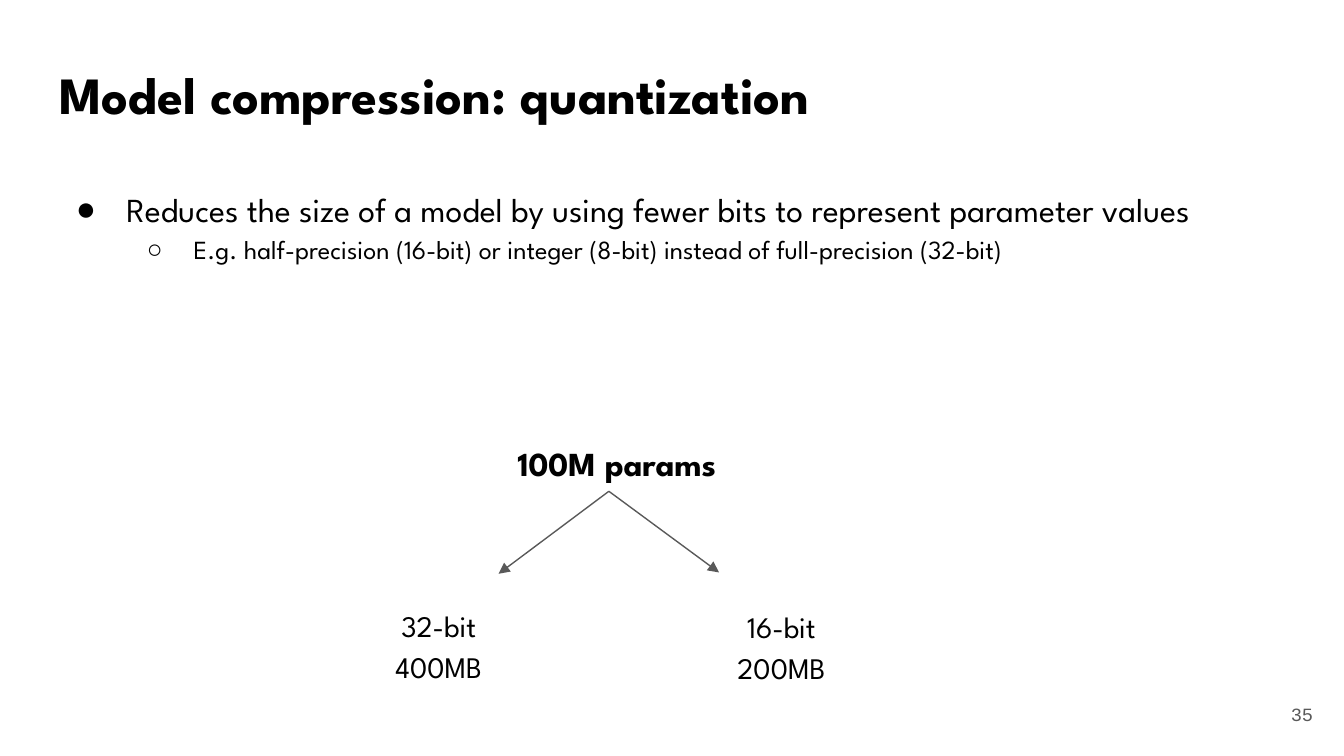
from lxml import etree
from pptx import Presentation
from pptx.dml.color import RGBColor
from pptx.enum.shapes import MSO_CONNECTOR
from pptx.enum.text import MSO_ANCHOR, MSO_AUTO_SIZE, PP_ALIGN
from pptx.oxml.ns import qn
from pptx.util import Pt

LEFT, CENTER, RIGHT = PP_ALIGN.LEFT, PP_ALIGN.CENTER, PP_ALIGN.RIGHT
TOP, MIDDLE = MSO_ANCHOR.TOP, MSO_ANCHOR.MIDDLE
NO_FIT = MSO_AUTO_SIZE.NONE
STRAIGHT = MSO_CONNECTOR.STRAIGHT
BLACK = RGBColor(0x00, 0x00, 0x00)
GRAY = RGBColor(0x59, 0x59, 0x59)
FONT, NUMBER_FONT = "League Spartan", "Courier New"

# Content; lengths in points
TITLE = "Model compression: quantization"
BULLETS = [  # text, level, bullet, size, left margin, hanging indent
    ("Reduces the size of a model by using fewer bits to represent parameter values",
     0, "●", 18, 36, 27),
    ("E.g. half-precision (16-bit) or integer (8-bit) instead of full-precision (32-bit)",
     1, "○", 14, 72, 25),
]
ROOT = ("100M params", (258.5, 226.8, 144, 33.1))
LEAVES = [  # lines, box
    (("32-bit", "400MB"), (149, 315.4, 172.1, 56.2)),
    (("16-bit", "200MB"), (314.6, 316.1, 208.1, 56.2)),
]
FORK = (326.2, 263.2)
ARROW_TIPS = [(267.1, 307.4), (385.2, 306.7)]
PAGE = ("35", (667.4, 367.2, 43.2, 31))


def place(sp, box, anchor=TOP):
    sp.left, sp.top, sp.width, sp.height = map(Pt, box)
    tf = sp.text_frame
    tf.word_wrap = True
    tf.auto_size = NO_FIT
    tf.vertical_anchor = anchor
    tf.margin_left = tf.margin_right = tf.margin_top = tf.margin_bottom = Pt(7.2)
    return tf


def write(p, lines, size, align=LEFT, bold=False, font=FONT, color=BLACK, spacing=1.15):
    p.alignment = align
    p.line_spacing = spacing
    p.space_before = Pt(0)
    for i, line in enumerate(lines):
        if i:
            p.add_line_break()
        r = p.add_run()
        r.text = line
        r.font.name, r.font.size, r.font.bold = font, Pt(size), bold
        r.font.color.rgb = color


def add_bullet(p, char, margin, hang):
    pPr = p._p.get_or_add_pPr()
    pPr.set("marL", str(Pt(margin)))
    pPr.set("indent", str(-Pt(hang)))
    clr = etree.SubElement(pPr, qn("a:buClr"))
    etree.SubElement(clr, qn("a:srgbClr"), val=str(BLACK))
    etree.SubElement(pPr, qn("a:buChar"), char=char)


def add_label(s, lines, box, size, **style):
    tf = place(s.shapes.add_textbox(0, 0, 0, 0), box)
    write(tf.paragraphs[0], lines, size, CENTER, **style)
    tf.paragraphs[0].space_after = Pt(16)


def add_arrow(s, start, end):
    line = s.shapes.add_connector(STRAIGHT, *map(Pt, start + end))
    line.line.color.rgb = GRAY
    line.line.width = Pt(0.75)
    etree.SubElement(line.line._get_or_add_ln(), qn("a:tailEnd"), type="triangle")
    etree.SubElement(line._element.spPr, qn("a:effectLst"))


prs = Presentation()
prs.slide_width, prs.slide_height = Pt(720), Pt(405)
s = prs.slides.add_slide(prs.slide_layouts[1])

# Title and bullet list
tf = place(s.shapes.title, (24.5, 25.9, 671, 38.2))
write(tf.paragraphs[0], [TITLE], 28, bold=True, spacing=1.0)
tf = place(s.placeholders[1], (24.5, 90.7, 671, 85))
for i, (text, level, char, size, margin, hang) in enumerate(BULLETS):
    p = tf.add_paragraph() if i else tf.paragraphs[0]
    p.level = level
    add_bullet(p, char, margin, hang)
    write(p, [text], size)

# Page number
text, box = PAGE
tf = place(s.shapes.add_textbox(0, 0, 0, 0), box, MIDDLE)
write(tf.paragraphs[0], [text], 10, RIGHT, font=NUMBER_FONT, color=GRAY, spacing=1.0)

# Parameter tree
text, box = ROOT
add_label(s, [text], box, 18, bold=True)
for tip in ARROW_TIPS:
    add_arrow(s, FORK, tip)
for lines, box in LEAVES:
    add_label(s, lines, box, 16)

prs.save("out.pptx")
